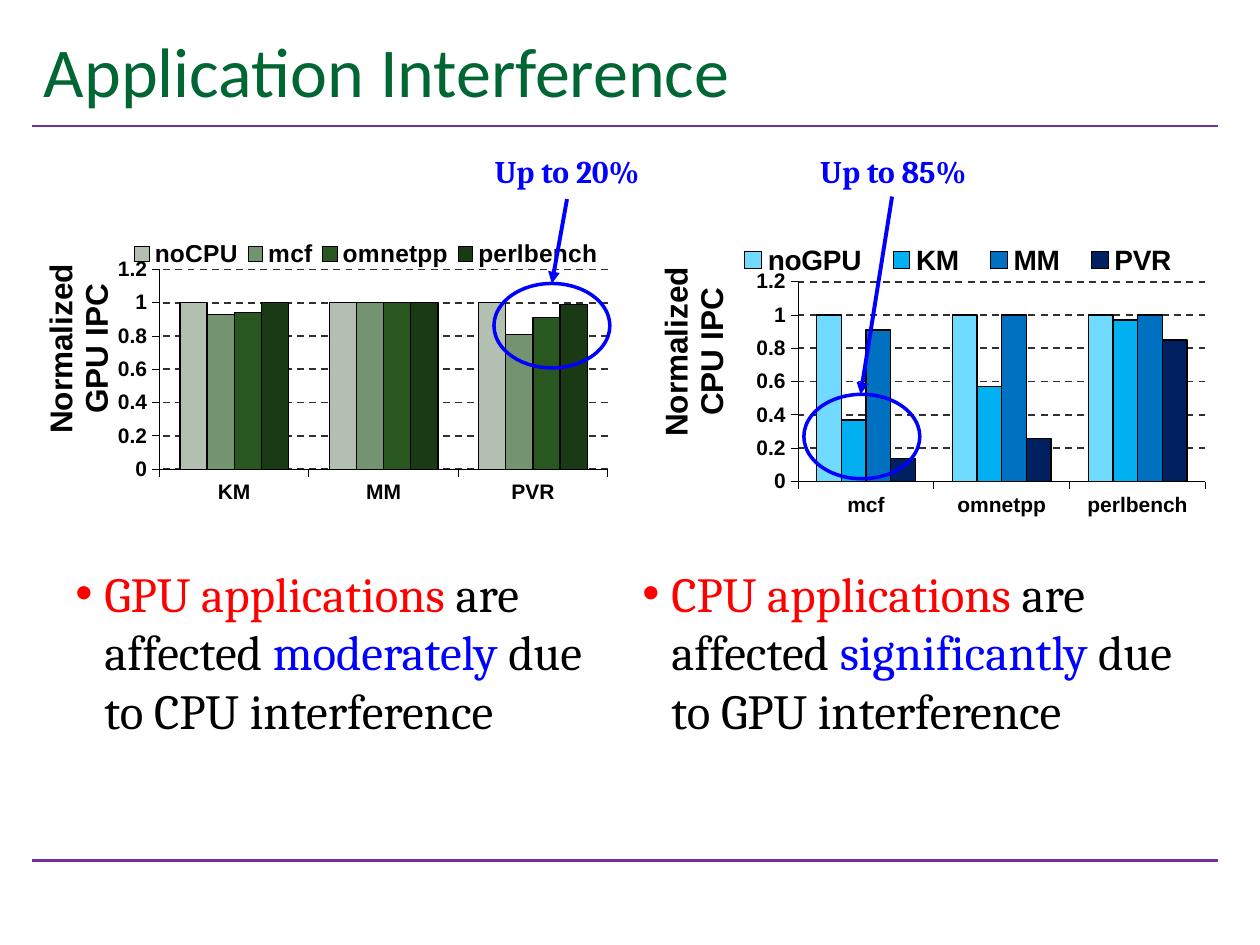
"""Build the Application Interference slide: two bar charts with callouts and bullets."""
from dataclasses import dataclass

from lxml import etree
from pptx import Presentation
from pptx.chart.chart import Chart
from pptx.chart.data import CategoryChartData
from pptx.dml.color import RGBColor
from pptx.dml.line import LineFormat
from pptx.enum.chart import XL_CHART_TYPE, XL_LEGEND_POSITION, XL_TICK_MARK
from pptx.enum.dml import MSO_LINE
from pptx.enum.shapes import MSO_CONNECTOR, MSO_SHAPE
from pptx.enum.text import MSO_ANCHOR, PP_ALIGN
from pptx.oxml.ns import qn
from pptx.slide import Slide
from pptx.text.text import Font, TextFrame
from pptx.util import Inches, Pt

COLUMNS = XL_CHART_TYPE.COLUMN_CLUSTERED
LEGEND_TOP = XL_LEGEND_POSITION.TOP
TICK_OUT = XL_TICK_MARK.OUTSIDE
DASH = MSO_LINE.DASH
STRAIGHT = MSO_CONNECTOR.STRAIGHT
OVAL = MSO_SHAPE.OVAL
MIDDLE = MSO_ANCHOR.MIDDLE
CENTER = PP_ALIGN.CENTER

COLORS = {
    "title": "006633", "rule": "7030A0", "accent": "0000FF",
    "subject": "FF0000", "text": "000000", "grid": "303030",
}


@dataclass
class Series:
    name: str
    values: tuple[float, ...]
    color: str


@dataclass
class Panel:
    chart_left: float
    axis_title: str
    legend_size: int
    categories: tuple[str, ...]
    series: tuple[Series, ...]
    plot_area: tuple[float, ...]
    legend_area: tuple[float, ...]
    title_place: tuple[float, ...]
    bullet_left: float
    subject: str
    degree: str
    cause: str
    callout: str
    label_left: float
    ring: tuple[float, float]
    arrow: tuple[float, float, float, float]


PANELS = (
    Panel(
        0.25, "Normalized\nGPU IPC", 14, ("KM", "MM", "PVR"),
        (
            Series("noCPU", (1, 1, 1), "B2BFB1"),
            Series("mcf", (0.93, 1, 0.81), "749371"),
            Series("omnetpp", (0.94, 1, 0.91), "285720"),
            Series("perlbench", (1, 1, 0.99), "1A3A15"),
        ),
        (0.22, 0.18, 0.77, 0.65), (0.16, 0.08, 0.83, 0.1), (0.01, 0.15),
        0.5, "GPU applications", "moderately", "CPU interference",
        "Up to 20%", 3.79, (3.92, 2.25), (4.5, 1.58, 4.38, 2.25),
    ),
    Panel(
        5.04, "Normalized\nCPU IPC", 16, ("mcf", "omnetpp", "perlbench"),
        (
            Series("noGPU", (1, 1, 1), "71DAFF"),
            Series("KM", (0.37, 0.57, 0.97), "00B0F0"),
            Series("MM", (0.91, 1, 1), "0070C0"),
            Series("PVR", (0.14, 0.26, 0.85), "002060"),
        ),
        (0.28, 0.22, 0.7, 0.65), (0.15, 0.09, 0.81, 0.12), (0.03, 0.16),
        5, "CPU applications", "significantly", "GPU interference",
        "Up to 85%", 6.38, (6.38, 3.13), (7.08, 1.56, 6.83, 3.13),
    ),
)


def style_font(font: Font, name: str, size: float, color: str, bold: bool = False) -> None:
    """Set the face, size, colour and weight of a font."""
    font.name, font.size, font.bold = name, Pt(size), bold
    font.color.rgb = RGBColor.from_string(color)


def style_line(line: LineFormat, color: str, width: float) -> None:
    """Set the colour and width of a line."""
    line.color.rgb = RGBColor.from_string(color)
    line.width = Pt(width)


def add_line(slide: Slide, ends: tuple[float, ...], color: str, width: float,
             arrow: bool = False) -> None:
    """Draw a straight line, with an arrowhead at its end if asked."""
    connector = slide.shapes.add_connector(STRAIGHT, *map(Inches, ends))
    style_line(connector.line, color, width)
    properties = connector._element.spPr
    if arrow:
        etree.SubElement(properties.find(qn("a:ln")), qn("a:tailEnd"), type="triangle")
    etree.SubElement(properties, qn("a:effectLst"))


def add_text_box(slide: Slide, left: float, top: float, width: float,
                 height: float) -> TextFrame:
    """Add a wrapping text box and return its frame."""
    box = slide.shapes.add_textbox(*map(Inches, (left, top, width, height)))
    box.text_frame.word_wrap = True
    return box.text_frame


def set_layout(parent: etree._Element, index: int, area: tuple[float, ...],
               inner: bool = False) -> None:
    """Place a chart part by fractions of the chart's size."""
    for previous in parent.findall(qn("c:layout")):
        parent.remove(previous)
    layout = etree.Element(qn("c:layout"))
    manual = etree.SubElement(layout, qn("c:manualLayout"))
    if inner:
        etree.SubElement(manual, qn("c:layoutTarget"), val="inner")
    for mode in ("xMode", "yMode"):
        etree.SubElement(manual, qn(f"c:{mode}"), val="edge")
    for key, value in zip("xywh", area):
        etree.SubElement(manual, qn(f"c:{key}"), val=str(value))
    parent.insert(index, layout)


def style_axes(chart: Chart, panel: Panel) -> None:
    """Format both axes, the gridlines and the value axis title."""
    values = chart.value_axis
    for axis in (chart.category_axis, values):
        axis.major_tick_mark = TICK_OUT
        style_font(axis.tick_labels.font, "Arial", 12, COLORS["text"], True)
        style_line(axis.format.line, COLORS["text"], 0.5)
    values.minimum_scale, values.maximum_scale, values.major_unit = 0, 1.2, 0.2
    style_line(values.major_gridlines.format.line, COLORS["grid"], 1)
    values.major_gridlines.format.line.dash_style = DASH
    frame = values.axis_title.text_frame
    frame.text = panel.axis_title
    frame._txBody.bodyPr.set("rot", "-5400000")
    frame._txBody.bodyPr.set("vert", "horz")
    for para in frame.paragraphs:
        style_font(para.font, "Arial", 18, COLORS["text"], True)
    set_layout(values.axis_title._element, 1, panel.title_place)


def add_bar_chart(slide: Slide, panel: Panel) -> None:
    """Draw the clustered column chart of a panel."""
    data = CategoryChartData()
    data.categories = panel.categories
    for series in panel.series:
        data.add_series(series.name, series.values)
    place = map(Inches, (panel.chart_left, 1.7, 4.62, 2.44))
    chart = slide.shapes.add_chart(COLUMNS, *place, data).chart
    chart.has_title = False
    style_font(chart.font, "Arial", 12, COLORS["text"], True)
    plot = chart.plots[0]
    plot.gap_width, plot.overlap, plot.vary_by_categories = 150, 0, False
    for bars, series in zip(plot.series, panel.series):
        bars.format.fill.solid()
        bars.format.fill.fore_color.rgb = RGBColor.from_string(series.color)
        style_line(bars.format.line, COLORS["text"], 0.75)
    style_axes(chart, panel)
    chart.has_legend = True
    chart.legend.position = LEGEND_TOP
    chart.legend.include_in_layout = False
    style_font(chart.legend.font, "Arial", panel.legend_size, COLORS["text"], True)
    set_layout(chart.legend._element, 1, panel.legend_area)
    set_layout(chart._chartSpace.chart.plotArea, 0, panel.plot_area, inner=True)


def add_bullet(slide: Slide, panel: Panel) -> None:
    """Write the finding of a panel as a bulleted paragraph."""
    para = add_text_box(slide, panel.bullet_left, 4.42, 4.5, 1.78).paragraphs[0]
    properties = para._p.get_or_add_pPr()
    properties.set("marL", str(Inches(0.23)))
    properties.set("indent", str(-Inches(0.23)))
    etree.SubElement(properties, qn("a:buFont"), typeface="Arial")
    etree.SubElement(properties, qn("a:buChar"), char="•")
    pieces = ((panel.subject, "subject"), (" are affected ", "text"),
              (panel.degree, "accent"), (f" due to {panel.cause}", "text"))
    for text, color in pieces:
        span = para.add_run()
        span.text = text
        style_font(span.font, "Cambria", 28, COLORS[color])


def add_callout(slide: Slide, panel: Panel) -> None:
    """Ring the notable bars and point a label at them."""
    ring = slide.shapes.add_shape(OVAL, *map(Inches, (*panel.ring, 0.92, 0.67)))
    ring.shadow.inherit = False
    ring.fill.background()
    style_line(ring.line, COLORS["accent"], 2)
    add_line(slide, panel.arrow, COLORS["accent"], 2.25, arrow=True)
    para = add_text_box(slide, panel.label_left, 1.16, 1.42, 0.4).paragraphs[0]
    para.text, para.alignment = panel.callout, CENTER
    style_font(para.font, "Cambria", 18, COLORS["accent"], True)


def main() -> None:
    """Build and save the deck."""
    deck = Presentation()
    deck.slide_width, deck.slide_height = Inches(10), Inches(7.5)
    page = deck.slides.add_slide(deck.slide_layouts[6])
    for height in (6.83, 1):
        add_line(page, (0.25, height, 9.67, height), COLORS["rule"], 1.5)
    frame = add_text_box(page, 0.25, 0.14, 9.42, 0.83)
    frame.vertical_anchor = MIDDLE
    frame.text = "Application Interference"
    style_font(frame.paragraphs[0].font, "Calibri", 40, COLORS["title"])
    for draw in (add_bar_chart, add_bullet, add_callout):
        for panel in PANELS:
            draw(page, panel)
    deck.save("out.pptx")


if __name__ == "__main__":
    main()
